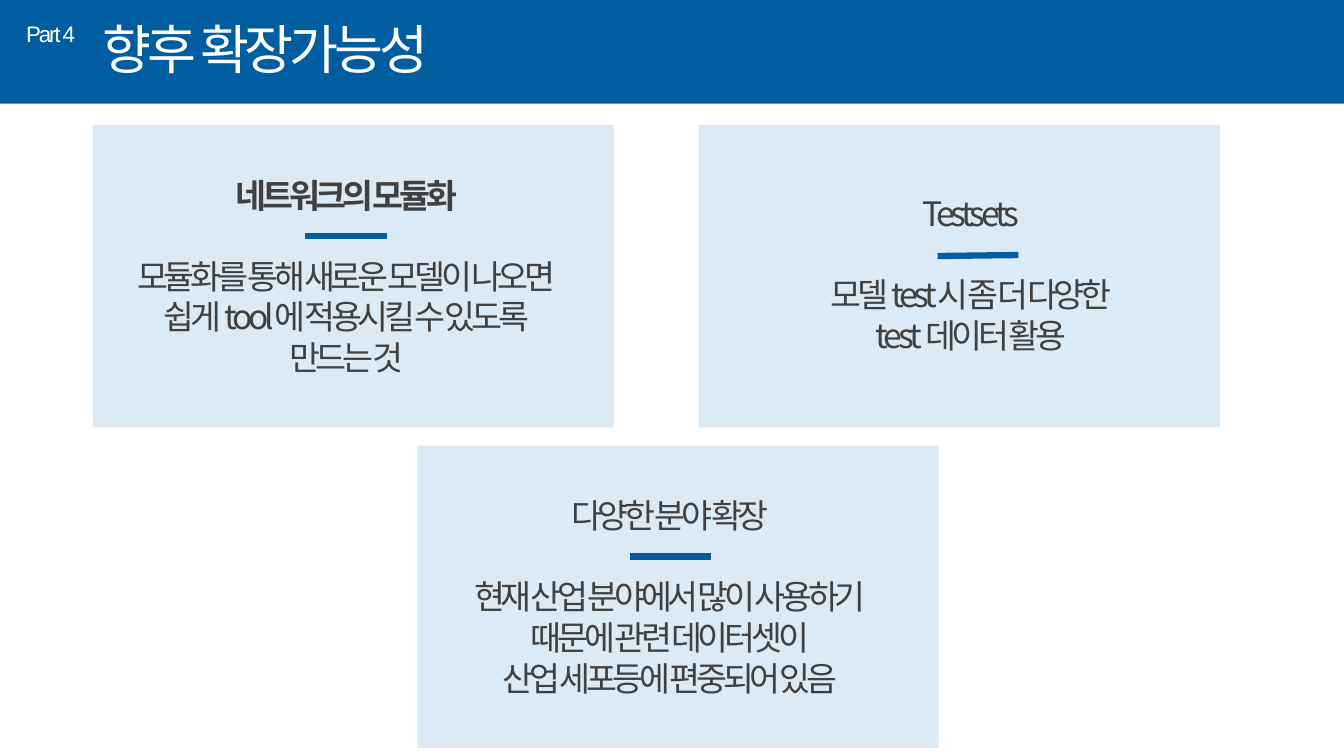
from lxml import etree
from pptx import Presentation
from pptx.dml.color import RGBColor
from pptx.enum.shapes import MSO_CONNECTOR, MSO_SHAPE
from pptx.enum.text import MSO_ANCHOR, MSO_AUTO_SIZE, PP_ALIGN
from pptx.oxml.ns import qn
from pptx.util import Inches, Pt

RECT, LINE = MSO_SHAPE.RECTANGLE, MSO_CONNECTOR.STRAIGHT
LEFT, CENTER = PP_ALIGN.LEFT, PP_ALIGN.CENTER
TOP, FIXED = MSO_ANCHOR.TOP, MSO_AUTO_SIZE.NONE
BLUE = RGBColor(0x00, 0x5E, 0xA0)
PALE = RGBColor(0xDC, 0xEA, 0xF5)
GRAY = RGBColor(0x40, 0x40, 0x40)
WHITE = RGBColor(0xFF, 0xFF, 0xFF)
LATIN, KOREAN = "Arial", "Noto Sans CJK KR"

prs = Presentation()
prs.slide_width, prs.slide_height = Inches(13.33), Inches(7.5)
slide = prs.slides.add_slide(prs.slide_layouts[5])
shapes = slide.shapes


def add_rect(x, y, w, h, color):
    rect = shapes.add_shape(RECT, Inches(x), Inches(y), Inches(w), Inches(h))
    rect.shadow.inherit = False
    rect.fill.solid()
    rect.fill.fore_color.rgb = color
    rect.line.fill.background()
    return rect


def style(box, lines, size, pitch, face, color, track, align):
    frame = box.text_frame
    frame.text = "\n".join(lines)
    frame.word_wrap = True
    frame.auto_size = FIXED
    frame.vertical_anchor = TOP
    for para in frame.paragraphs:
        para.alignment = align
        para.line_spacing = Pt(pitch)
        for run in para.runs:
            font = run.font
            font.size, font.name, font.bold = Pt(size), face, False
            font.color.rgb = color
            # Letter spacing and East Asian font
            props = run._r.get_or_add_rPr()
            props.set("spc", str(int(track * 100)))
            etree.SubElement(props, qn("a:ea")).set("typeface", KOREAN)


# Header band, part label and title
band = add_rect(0, 0, 13.33, 1.03, BLUE)
part = shapes.add_textbox(Inches(0.16), Inches(0.15), Inches(0.72), Inches(0.37))
style(part, ["Part 4"], 16, 19, LATIN, WHITE, -1.5, LEFT)
part.text_frame.word_wrap = False

title = shapes.title
title.left, title.top = Inches(0.92), Inches(0.11)
title.width, title.height = Inches(3.74), Inches(0.74)
style(title, ["향후 확장가능성"], 38, 46, LATIN, WHITE, -3, LEFT)
band.element.addnext(title.element)

# Cards: corner, text box, rule ends, bold heading, lines
cards = [
    ((0.92, 1.24), (0.97, 1.68, 4.93, 2.12), (3.03, 2.34, 3.84, 2.34), True,
     ["네트워크의 모듈화", "모듈화를 통해 새로운 모델이 나오면",
      "쉽게 tool에 적용시킬 수 있도록", "만드는 것"]),
    ((6.93, 1.24), (7.87, 1.86, 3.52, 1.72), (9.3, 2.54, 10.1, 2.53), False,
     ["Testsets", "모델 test시 좀 더 다양한", "test 데이터 활용"]),
    ((4.14, 4.42), (4.33, 4.86, 4.63, 2.12), (6.25, 5.52, 7.05, 5.52), False,
     ["다양한 분야 확장", "현재 산업 분야에서 많이 사용하기",
      "때문에 관련 데이터셋이", "산업 세포등에 편중되어 있음"]),
]
for corner, area, ends, bold, lines in cards:
    add_rect(*corner, 5.17, 3, PALE)
    box = shapes.add_textbox(*[Inches(n) for n in area])
    style(box, lines, 24, 29, KOREAN, GRAY, -3, CENTER)
    head, first = box.text_frame.paragraphs[:2]
    head.runs[0].font.bold = bold
    first.space_before = Pt(29)

    # Rule under the heading
    rule = shapes.add_connector(LINE, *[Inches(n) for n in ends])
    rule.line.color.rgb = BLUE
    rule.line.width = Pt(4.5)
    etree.SubElement(rule.element.spPr, qn("a:effectLst"))

prs.save("out.pptx")
